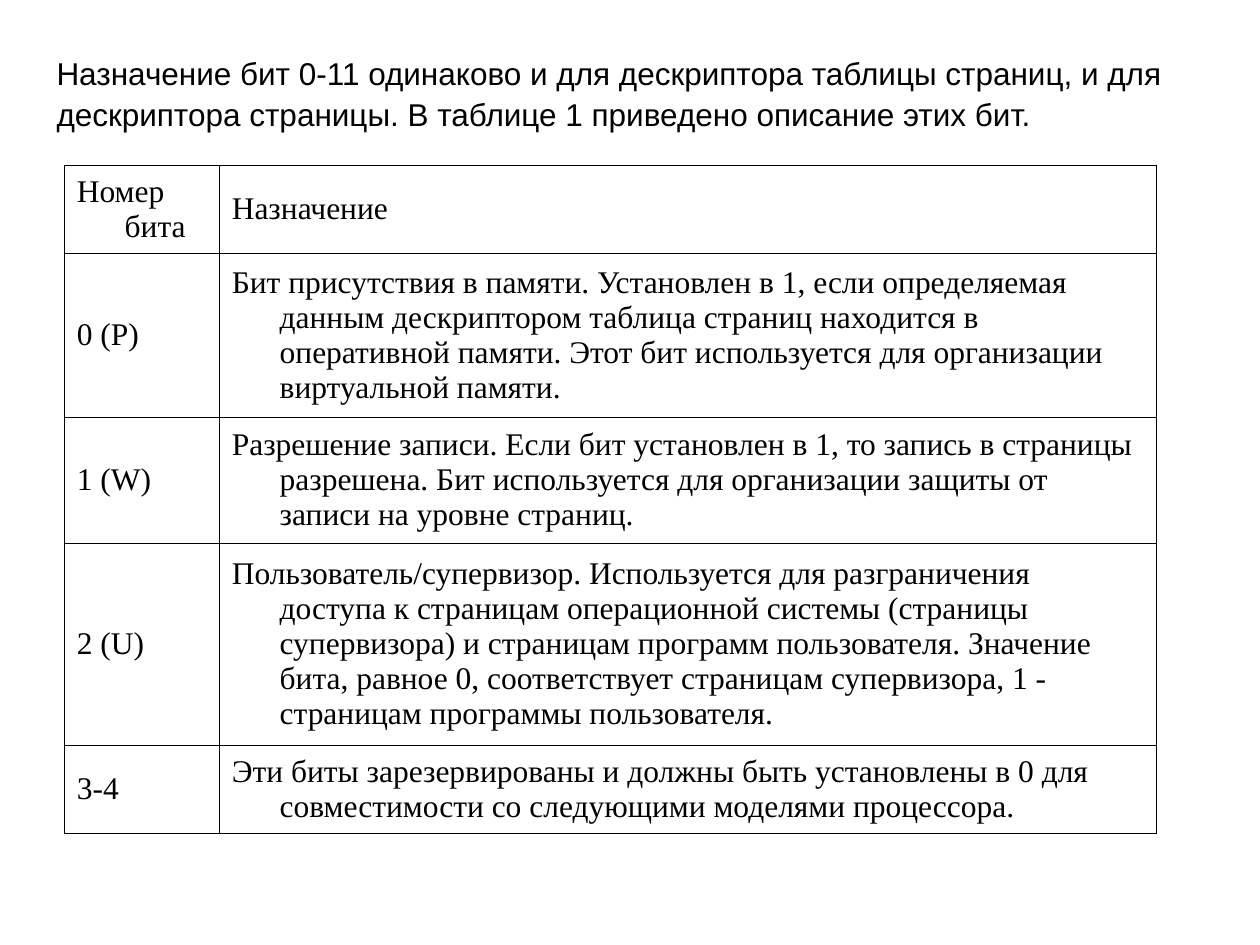
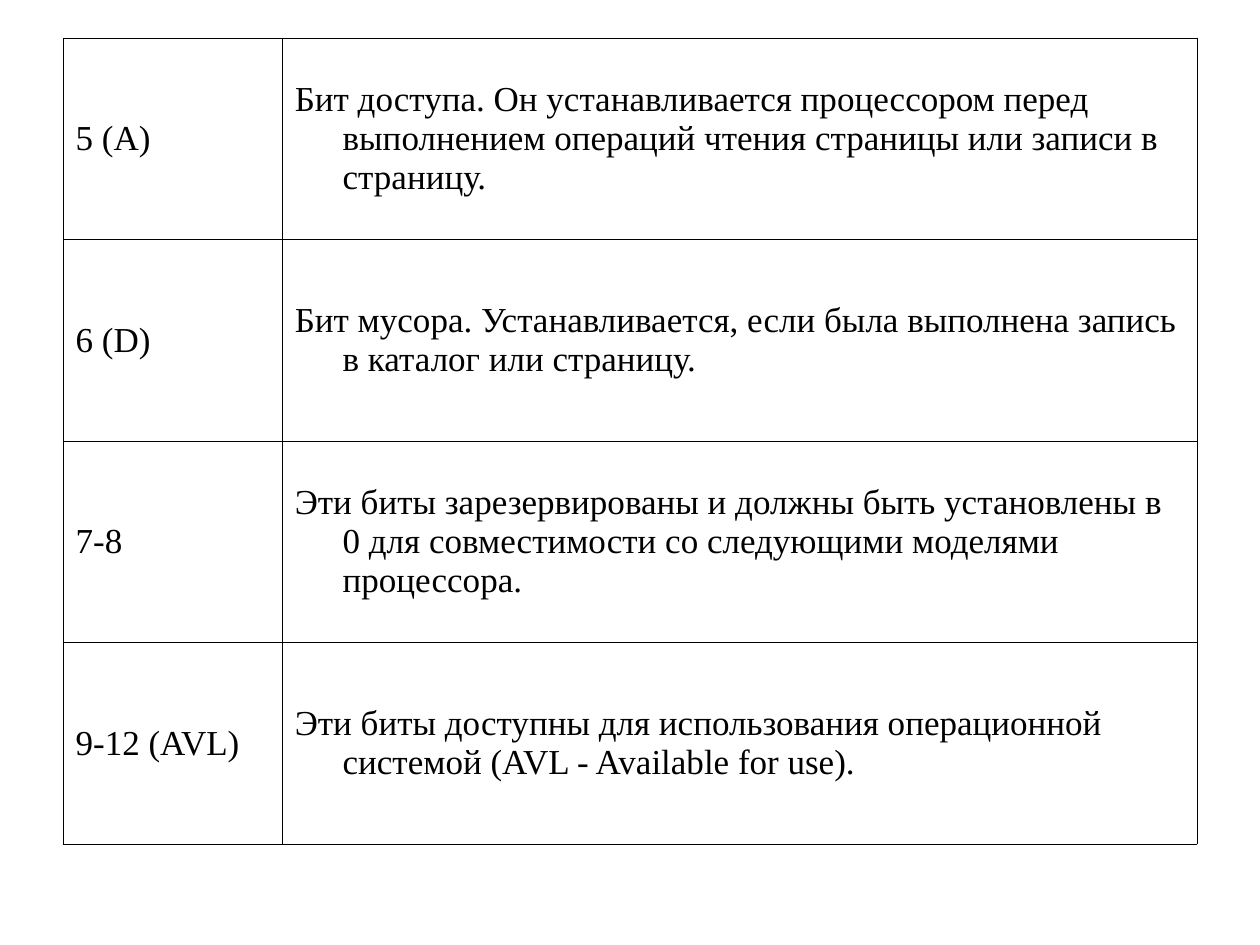
from lxml import etree
from pptx import Presentation
from pptx.dml.color import RGBColor
from pptx.enum.text import MSO_ANCHOR as Anchor
from pptx.oxml.ns import qn
from pptx.util import Emu, Inches, Pt

BLACK = RGBColor(0x00, 0x00, 0x00)
WHITE = RGBColor(0xFF, 0xFF, 0xFF)
COLS, ROWS = 100, 75  # grid units across and down the slide

RESERVED = ("Эти биты зарезервированы и должны быть установлены в 0 "
            "для совместимости со следующими моделями процессора.")

INTRO = ("Назначение бит 0-11 одинаково и для дескриптора таблицы страниц, и для "
         "дескриптора страницы. В таблице 1 приведено описание этих бит.")

# Each table row: height in grid rows, bit number, purpose
LOW_BITS = [
    (7, "Номер бита", "Назначение"),
    (13, "0 (P)",
     "Бит присутствия в памяти. Установлен в 1, если определяемая данным "
     "дескриптором таблица страниц находится в оперативной памяти. Этот бит "
     "используется для организации виртуальной памяти."),
    (10, "1 (W)",
     "Разрешение записи. Если бит установлен в 1, то запись в страницы разрешена. "
     "Бит используется для организации защиты от записи на уровне страниц."),
    (16, "2 (U)",
     "Пользователь/супервизор. Используется для разграничения доступа к страницам "
     "операционной системы (страницы супервизора) и страницам программ пользователя. "
     "Значение бита, равное 0, соответствует страницам супервизора, "
     "1 - страницам программы пользователя."),
    (7, "3-4", RESERVED),
]
HIGH_BITS = [
    (16, "5 (A)",
     "Бит доступа. Он устанавливается процессором перед выполнением операций "
     "чтения страницы или записи в страницу."),
    (16, "6 (D)",
     "Бит мусора. Устанавливается, если была выполнена запись в каталог или страницу."),
    (16, "7-8", RESERVED),
    (16, "9-12 (AVL)",
     "Эти биты доступны для использования операционной системой "
     "(AVL - Available for use)."),
]


def write(tf, text, font="Arial", size=18, color=BLACK, spacing=None, hanging=None):
    """Put one formatted paragraph into a text frame."""
    tf.word_wrap = True
    p = tf.paragraphs[0]
    if spacing:
        p.line_spacing = spacing
    if hanging:
        pPr = p._p.get_or_add_pPr()
        pPr.set("marL", str(hanging))
        pPr.set("indent", str(-hanging))
    r = p.add_run()
    r.text = text
    r.font.name, r.font.size = font, Pt(size)
    r.font.color.rgb = color


class Deck:
    """Holds the shared style and the current slide."""
    table_font = "Times New Roman"
    hanging = Inches(0.38)
    border = Pt(0.34)

    def __init__(self, prs):
        self.prs = prs
        self.slide = None

    def x(self, cols):
        return Emu(round(self.prs.slide_width * cols / COLS))

    def y(self, rows):
        return Emu(round(self.prs.slide_height * rows / ROWS))

    def new_slide(self):
        self.slide = self.prs.slides.add_slide(self.prs.slide_layouts[6])
        fill = self.slide.background.fill
        fill.solid()
        fill.fore_color.rgb = WHITE

    def text(self, text, left, top, width, height, **style):
        box = self.slide.shapes.add_textbox(
            self.x(left), self.y(top), self.x(width), self.y(height))
        write(box.text_frame, text, **style)

    def outline(self, cell):
        tcPr = cell._tc.get_or_add_tcPr()
        for i, side in enumerate(("lnL", "lnR", "lnT", "lnB")):
            ln = etree.Element(qn("a:" + side), w=str(self.border))
            solid = etree.SubElement(ln, qn("a:solidFill"))
            etree.SubElement(solid, qn("a:srgbClr"), val=str(BLACK))
            tcPr.insert(i, ln)

    def table(self, rows, left, top, widths, size):
        height = sum(row[0] for row in rows)
        table = self.slide.shapes.add_table(
            len(rows), len(widths), self.x(left), self.y(top),
            self.x(sum(widths)), self.y(height)).table
        table.first_row = table.horz_banding = False
        for column, width in zip(table.columns, widths):
            column.width = self.x(width)
        for row, (row_height, *texts) in zip(table.rows, rows):
            row.height = self.y(row_height)
            for cell, text in zip(row.cells, texts):
                cell.fill.background()
                cell.vertical_anchor = Anchor.MIDDLE
                write(cell.text_frame, text, font=self.table_font,
                      size=size, hanging=self.hanging)
                self.outline(cell)


def main():
    prs = Presentation()
    prs.slide_width, prs.slide_height = Inches(10), Inches(7.5)
    deck = Deck(prs)

    # Bits 0-4 with the introduction
    deck.new_slide()
    deck.text(INTRO, 3.5, 3.6, 92.1, 7, spacing=1.08)
    deck.table(LOW_BITS, 5.1, 13.1, (12.3, 74.4), size=18)

    # Bits 5-12
    deck.new_slide()
    deck.table(HIGH_BITS, 5, 3, (17.4, 72.6), size=20)

    prs.save("out.pptx")


if __name__ == "__main__":
    main()
